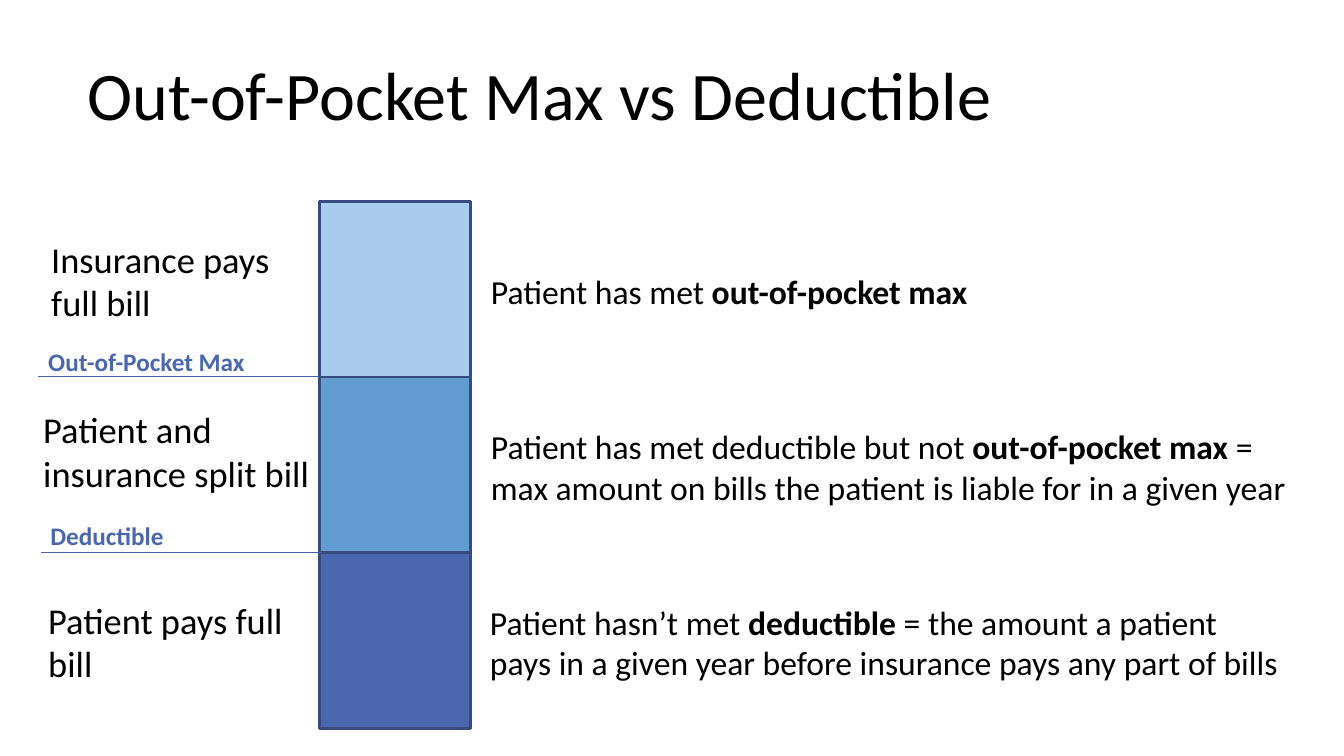
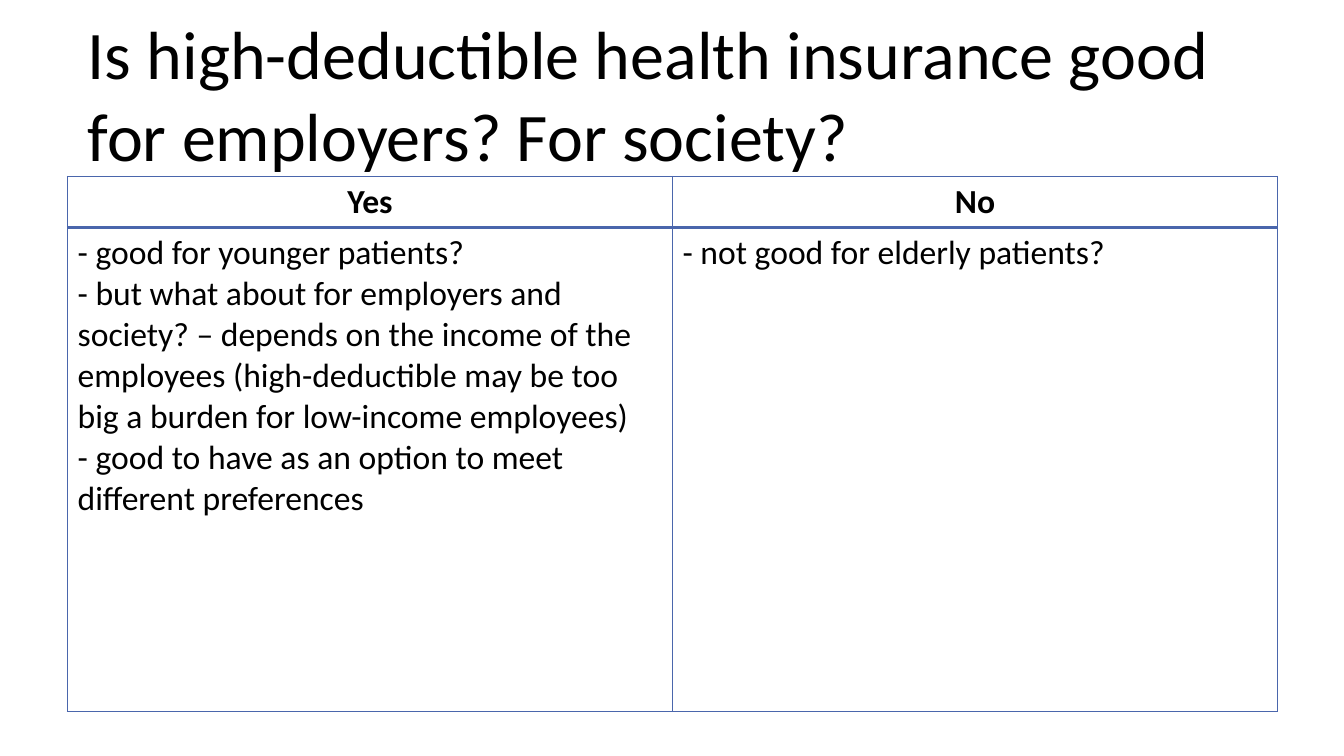
"""Build two slides on out-of-pocket maximums and deductibles."""
import pptx
import pptx.dml.color
import pptx.enum.shapes
import pptx.enum.text
import pptx.oxml
import pptx.oxml.ns
import pptx.util

PX = 9144
FONT = "Calibri"
BLACK = pptx.dml.color.RGBColor(0x00, 0x00, 0x00)
BLUE = pptx.dml.color.RGBColor(0x4A, 0x66, 0xAC)
MID_BLUE = pptx.dml.color.RGBColor(0x62, 0x9D, 0xD1)
PALE_BLUE = pptx.dml.color.RGBColor(0xA9, 0xCC, 0xEE)
OUTLINE = pptx.dml.color.RGBColor(0x37, 0x4B, 0x7F)
RULE = pptx.dml.color.RGBColor(0x46, 0x63, 0xAB)
ALIGN = pptx.enum.text.PP_ALIGN
NAMESPACE = pptx.oxml.ns.nsdecls("a")


def write(para, text, size, color=BLACK, align=ALIGN.LEFT):
    """Fill a paragraph, with the parts between asterisks in bold."""
    para.alignment = align
    para.space_before = pptx.util.Pt(0)
    for index, part in enumerate(text.split("*")):
        if part:
            span = para.add_run()
            span.text = part
            span.font.name = FONT
            span.font.size = pptx.util.Pt(size)
            span.font.bold = index % 2 == 1
            span.font.color.rgb = color


def place(box, left, top, width, height):
    """Set the bounds of a text shape and make it wrap at a fixed size."""
    box.left, box.top, box.width, box.height = (
        length * PX for length in (left, top, width, height))
    box.text_frame.word_wrap = True
    box.text_frame.auto_size = pptx.enum.text.MSO_AUTO_SIZE.NONE


deck = pptx.Presentation()
deck.slide_width = 1333 * PX
deck.slide_height = 750 * PX

pages = []
for layout, title in (
    (1, "Out-of-Pocket Max vs Deductible"),
    (5, "Is high-deductible health insurance good for employers? For society?"),
):
    page = deck.slides.add_slide(deck.slide_layouts[layout])
    heading = page.shapes.title
    place(heading, 67, 30, 1200, 125)
    frame = heading.text_frame
    frame.vertical_anchor = pptx.enum.text.MSO_ANCHOR.MIDDLE
    frame.margin_left = frame.margin_right = 20 * PX
    frame.margin_top = frame.margin_bottom = 20 * PX
    write(frame.paragraphs[0], title, 48.6)
    pages.append(page)
stack_page, table_page = pages

STACK_TOP, STEP = 200, 174
for index, color in enumerate((PALE_BLUE, MID_BLUE, BLUE)):
    block = stack_page.shapes.add_shape(
        pptx.enum.shapes.MSO_SHAPE.RECTANGLE,
        317 * PX, (STACK_TOP + index * STEP) * PX, 150 * PX, 175 * PX)
    block.shadow.inherit = False
    block.fill.solid()
    block.fill.fore_color.rgb = color
    block.line.color.rgb = OUTLINE
    block.line.width = pptx.util.Pt(2)

body = stack_page.placeholders[1]
place(body, 476, 592, 808, 120)
explanation = body.text_frame.paragraphs[0]
write(explanation, "Patient hasn’t met *deductible* = the amount a patient pays "
      "in a given year before insurance pays any part of bills", 24)
properties = explanation._p.get_or_add_pPr()
properties.set("marL", "0")
properties.set("indent", "0")
properties.append(pptx.oxml.parse_xml(f"<a:buNone {NAMESPACE}/>"))

for left, top, width, height, size, color, text in (
    (41, 230, 277, 100, 26, BLACK, "Insurance pays full bill"),
    (33, 399, 285, 100, 26, BLACK, "Patient and insurance split bill"),
    (38, 588, 285, 100, 26, BLACK, "Patient pays full bill"),
    (477, 264, 731, 60, 24, BLACK, "Patient has met *out-of-pocket max*"),
    (477, 418, 831, 100, 24, BLACK,
     "Patient has met deductible but not *out-of-pocket max *"
     "= max amount on bills the patient is liable for in a given year"),
    (38, 339, 392, 40, 18, BLUE, "*Out-of-Pocket Max*"),
    (40, 511, 392, 40, 18, BLUE, "*Deductible*"),
):
    box = stack_page.shapes.add_textbox(0, 0, 0, 0)
    place(box, left, top, width, height)
    write(box.text_frame.paragraphs[0], text, size, color)

for index, left in ((1, 38), (2, 41)):
    height = (STACK_TOP + index * STEP) * PX
    threshold = stack_page.shapes.add_connector(
        pptx.enum.shapes.MSO_CONNECTOR.STRAIGHT,
        (left + 278) * PX, height, left * PX, height)
    threshold.line.color.rgb = RULE
    threshold.line.width = pptx.util.Pt(0.75)
    threshold._element.spPr.append(
        pptx.oxml.parse_xml(f"<a:effectLst {NAMESPACE}/>"))

table = table_page.shapes.add_table(
    2, 2, 67 * PX, 175 * PX, 1200 * PX, 530 * PX).table
table.first_row = False
table.horz_banding = False
table.rows[0].height = 50 * PX
table.rows[1].height = 480 * PX
arguments = (
    (("*Yes*",), ("*No*",)),
    (("- good for younger patients?",
      "- but what about for employers and society? – depends on the income of the "
      "employees (high-deductible may be too big a burden for low-income employees)",
      "- good to have as an option to meet different preferences"),
     ("- not good for elderly patients?",)),
)
for row, cells in enumerate(arguments):
    for column, lines in enumerate(cells):
        cell = table.cell(row, column)
        for index, line in enumerate(lines):
            frame = cell.text_frame
            para = frame.add_paragraph() if index else frame.paragraphs[0]
            write(para, line, 24, align=ALIGN.LEFT if row else ALIGN.CENTER)
        thick_side = "T" if row else "B"
        for side in "LRTB":
            width = pptx.util.Pt(2 if side == thick_side else 1)
            cell._tc.get_or_add_tcPr().append(pptx.oxml.parse_xml(
                f'<a:ln{side} {NAMESPACE} w="{width}"><a:solidFill>'
                f'<a:srgbClr val="{BLUE}"/></a:solidFill></a:ln{side}>'))
        cell.fill.background()

deck.save("out.pptx")
